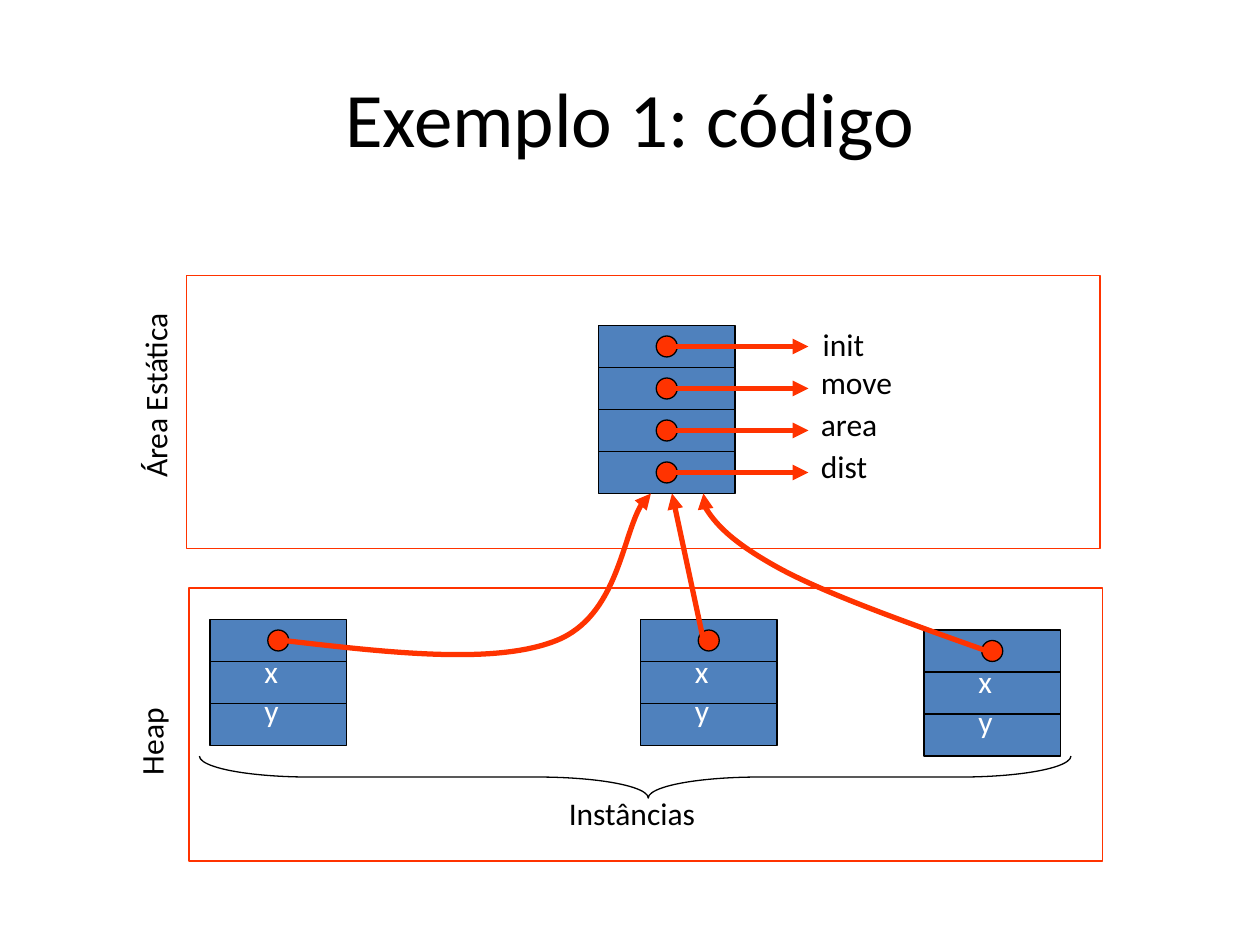
from typing import NamedTuple

from lxml.etree import SubElement
from pptx import Presentation
from pptx.dml.color import RGBColor
from pptx.enum.shapes import MSO_CONNECTOR, MSO_SHAPE
from pptx.enum.text import MSO_ANCHOR, PP_ALIGN
from pptx.oxml.ns import qn
from pptx.util import Pt

BLACK = RGBColor(0x00, 0x00, 0x00)
WHITE = RGBColor(0xFF, 0xFF, 0xFF)
BLUE = RGBColor(0x4F, 0x81, 0xBD)
RED = RGBColor(0xFF, 0x33, 0x00)
FONT = "Calibri"
CELL_W, CELL_H, DOT = 78, 24, 12


class Box(NamedTuple):
    left: float
    top: float
    width: float
    height: float


class Label(NamedTuple):
    text: str
    box: Box
    color: RGBColor = BLACK
    size: float = 18
    rotation: float = 0


class Instance(NamedTuple):
    left: float
    top: float


METHODS = [
    Label("init", Box(463, 182, 170, 29)),
    Label("move", Box(462, 204, 78, 36)),
    Label("area", Box(462, 228, 90, 36)),
    Label("dist", Box(462, 252, 72, 36)),
]
INSTANCES = [Instance(120, 354), Instance(366, 354), Instance(528, 360)]
# Start point, then three points for each Bézier segment
REFERENCES = [
    [(162, 366), (222.5, 373), (283, 380), (318, 366),
     (353, 352), (357, 292), (372, 282)],
    [(564, 372), (517.5, 355.5), (471, 339), (444, 324),
     (417, 309), (395.5, 286), (402, 282)],
]


def add_shape(shapes, kind, box: Box, fill=None, line=BLACK):
    shape = shapes.add_shape(kind, *map(Pt, box))
    shape.shadow.inherit = False
    if fill is None:
        shape.fill.background()
    else:
        shape.fill.solid()
        shape.fill.fore_color.rgb = fill
    shape.line.color.rgb = line
    shape.line.width = Pt(0.75)
    return shape


def add_label(shapes, label: Label):
    text_box = shapes.add_textbox(*map(Pt, label.box))
    text_box.rotation = label.rotation
    frame = text_box.text_frame
    frame.word_wrap = True
    frame.text = label.text
    font = frame.paragraphs[0].runs[0].font
    font.name, font.size = FONT, Pt(label.size)
    font.color.rgb = label.color
    return frame


def style_arrow(arrow) -> None:
    arrow.line.color.rgb = RED
    arrow.line.width = Pt(3)
    SubElement(arrow.line._get_or_add_ln(), qn("a:tailEnd"), type="triangle")


def add_arrow(shapes, start: tuple, end: tuple) -> None:
    arrow = shapes.add_connector(MSO_CONNECTOR.STRAIGHT, *map(Pt, start + end))
    style_arrow(arrow)
    SubElement(arrow._element.spPr, qn("a:effectLst"))


def add_curve(shapes, points: list) -> None:
    start, *rest = [(Pt(x), Pt(y)) for x, y in points]
    builder = shapes.build_freeform(*start)
    builder.add_line_segments(rest, close=False)
    curve = builder.convert_to_shape()
    curve.shadow.inherit = False
    curve.fill.background()
    style_arrow(curve)
    # Gather every three line points into one cubic segment
    segments = list(curve._element.iter(qn("a:lnTo")))
    for first in range(0, len(segments), 3):
        cubic = SubElement(segments[first].getparent(), qn("a:cubicBezTo"))
        for segment in segments[first:first + 3]:
            cubic.append(segment[0])
            segment.getparent().remove(segment)


def add_cell(shapes, left: float, top: float, has_dot: bool) -> None:
    add_shape(shapes, MSO_SHAPE.RECTANGLE, Box(left, top, CELL_W, CELL_H), BLUE)
    if has_dot:
        dot = Box(left + (CELL_W - DOT) / 2, top + (CELL_H - DOT) / 2, DOT, DOT)
        add_shape(shapes, MSO_SHAPE.OVAL, dot, RED)


def add_instance(shapes, instance: Instance) -> None:
    left, top = instance
    for row in range(3):
        add_cell(shapes, left, top + row * CELL_H, has_dot=row == 0)
    for field, offset in (("x", 15), ("y", 37.5)):
        add_label(shapes, Label(field, Box(left + 24, top + offset, 30, 36), WHITE))


def main() -> None:
    prs = Presentation()
    prs.slide_width, prs.slide_height = Pt(720), Pt(540)
    shapes = prs.slides.add_slide(prs.slide_layouts[6]).shapes

    # Title
    title = add_label(shapes, Label("Exemplo 1: código", Box(36, 21.6, 648, 90), size=44))
    title.vertical_anchor = MSO_ANCHOR.MIDDLE
    title.paragraphs[0].alignment = PP_ALIGN.CENTER

    # Method table
    for row, method in enumerate(METHODS):
        top = 186 + row * CELL_H
        add_cell(shapes, 342, top, has_dot=True)
        add_arrow(shapes, (384, top + CELL_H / 2), (462, top + CELL_H / 2))
        add_label(shapes, method)

    # Instances and their references to the method table
    for instance in INSTANCES:
        add_instance(shapes, instance)
    for points in REFERENCES:
        add_curve(shapes, points)
    add_arrow(shapes, (402, 366), (384, 282))

    # Brace under the instances
    add_label(shapes, Label("Instâncias", Box(318, 450, 130, 36)))
    brace = add_shape(shapes, MSO_SHAPE.LEFT_BRACE, Box(351, 195, 24, 498))
    brace.rotation = 270
    brace.adjustments[0], brace.adjustments[1] = 2.63, 0.515

    # Memory areas
    add_shape(shapes, MSO_SHAPE.RECTANGLE, Box(108, 336, 522, 156), line=RED)
    add_label(shapes, Label("Heap", Box(51, 393, 78, 36), rotation=270))
    add_label(shapes, Label("Área Estática", Box(21.6, 198.7, 134, 29), rotation=270))
    add_shape(shapes, MSO_SHAPE.RECTANGLE, Box(106.6, 157.5, 522, 156), line=RED)

    prs.save("out.pptx")


if __name__ == "__main__":
    main()
